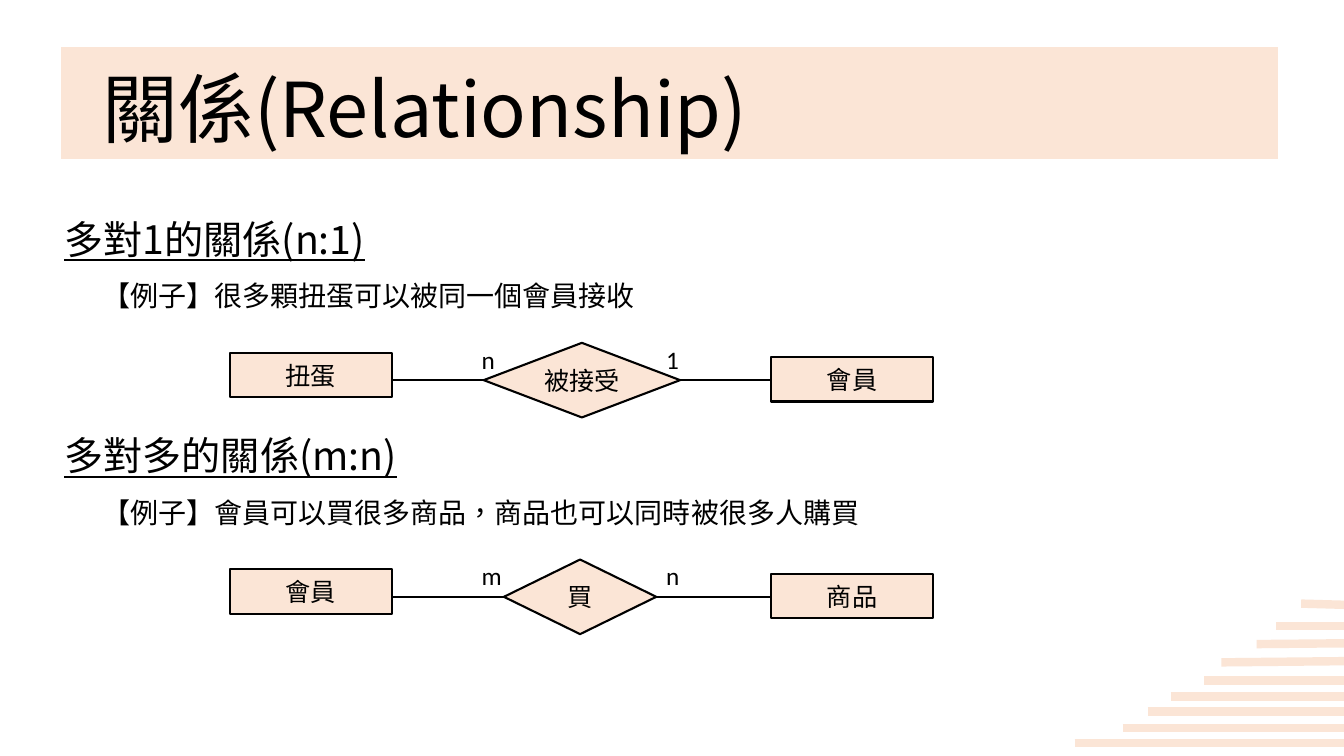
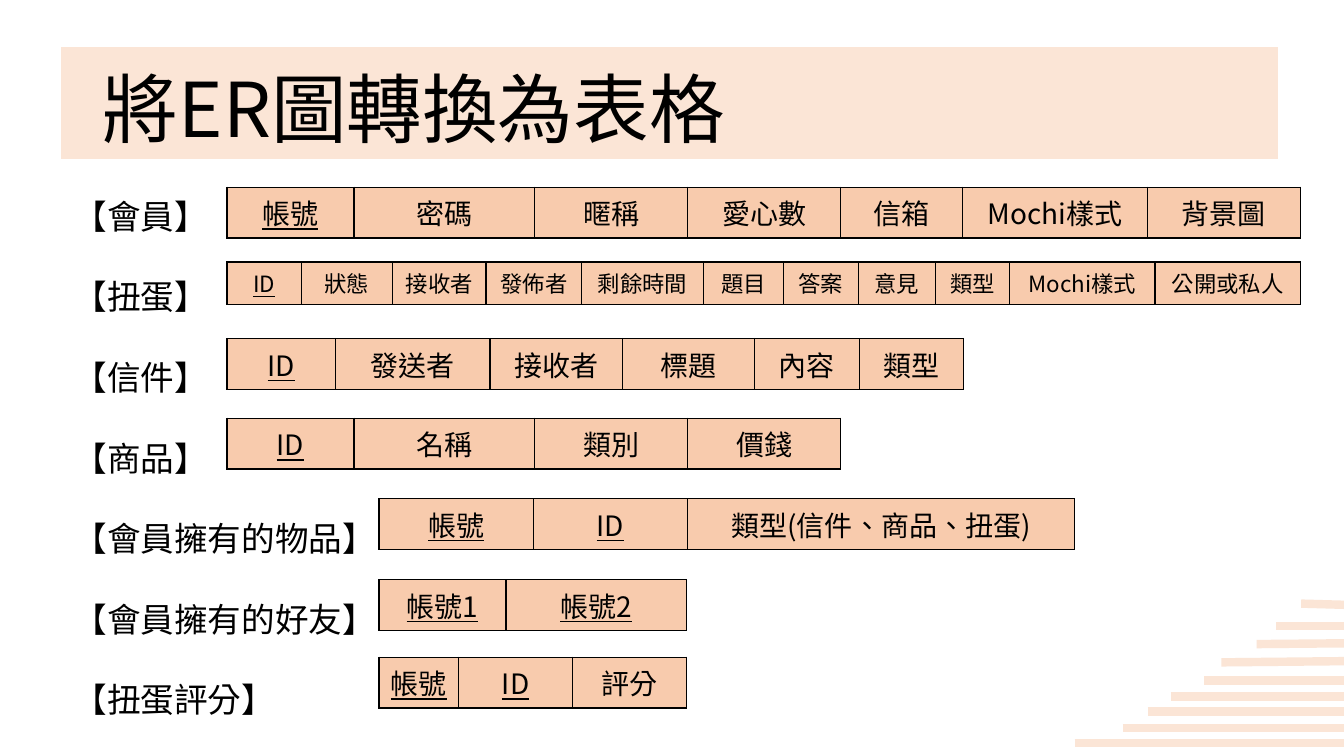
"""Build two slides on relationships and on turning an ER diagram into tables."""
from dataclasses import dataclass

from lxml import etree
from pptx import Presentation
from pptx import util as u
from pptx.dml.color import RGBColor
from pptx.enum import lang, shapes, text
from pptx.oxml import ns

COLORS = {"band": "FBE5D6", "cell": "F8CBAD", "ink": "000000", "paper": "FFFFFF"}
CJK_FONT = "Noto Sans CJK SC"
ROLE_FONT = "Calibri"
SLIDE_WIDTH, SLIDE_HEIGHT = 33.87, 19.05
MARGIN = 1.37
HEADING_WIDTH, HEADING_HEIGHT = 32.49, 3.33
ENTITY_WIDTH, ENTITY_HEIGHT = 4.09, 1.12
DIAMOND_HEIGHT = 1.88


@dataclass
class Stripe:
    left: float
    start_y: float
    end_y: float


@dataclass
class Relation:
    top: float
    heading: str
    example: str
    entities: tuple[str, str]
    roles: tuple[str, str]
    verb: str
    verb_left: float
    verb_width: float


@dataclass
class Relational:
    label: str
    left: float
    top: float
    fields: list[str]
    widths: list[float]
    keys: int = 1
    size: int = 20
    height: float = 1.24


STRIPES = [
    Stripe(27.08, 18.72, 18.72),
    Stripe(28.3, 18.34, 18.34),
    Stripe(28.93, 17.93, 17.93),
    Stripe(29.51, 17.55, 17.55),
    Stripe(30.35, 17.15, 17.15),
    Stripe(30.78, 16.69, 16.66),
    Stripe(31.67, 16.23, 16.21),
    Stripe(32.16, 15.77, 15.77),
    Stripe(32.79, 15.21, 15.24),
]

RELATIONS = [
    Relation(4.7, "多對1的關係(n:1)", "【例子】很多顆扭蛋可以被同一個會員接收",
             ("扭蛋", "會員"), ("n", "1"), "被接受", 12.19, 4.95),
    Relation(10.16, "多對多的關係(m:n)", "【例子】會員可以買很多商品，商品也可以同時被很多人購買",
             ("會員", "商品"), ("m", "n"), "買", 12.7, 3.84),
]

RELATIONALS = [
    Relational("【會員】", 5.72, 4.72,
               ["帳號", "密碼", "暱稱", "愛心數", "信箱", "Mochi樣式", "背景圖"],
               [3.2, 4.55, 3.86, 3.86, 3.07, 4.65, 3.86]),
    Relational("【扭蛋】", 5.72, 6.6,
               ["ID", "狀態", "接收者", "發佈者", "剩餘時間", "題目", "答案", "意見",
                "類型", "Mochi樣式", "公開或私人"],
               [1.88, 2.29, 2.36, 2.41, 3.07, 2.01, 1.9, 1.93, 1.88, 3.66, 3.66],
               size=16, height=1.04),
    Relational("【信件】", 5.72, 8.53,
               ["ID", "發送者", "接收者", "標題", "內容", "類型"],
               [2.74, 3.89, 3.33, 3.33, 2.64, 2.64]),
    Relational("【商品】", 5.72, 10.54,
               ["ID", "名稱", "類別", "價錢"], [3.2, 4.55, 3.86, 3.86]),
    Relational("【會員擁有的物品】", 9.55, 12.57,
               ["帳號", "ID", "類型(信件、商品、扭蛋)"], [3.89, 3.89, 9.75], keys=2),
    Relational("【會員擁有的好友】", 9.55, 14.61,
               ["帳號1", "帳號2"], [3.2, 4.55], keys=2),
    Relational("【扭蛋評分】", 9.55, 16.56,
               ["帳號", "ID", "評分"], [2.01, 2.87, 2.87], keys=2),
]


def color(key: str) -> RGBColor:
    return RGBColor.from_string(COLORS[key])


def place(shape, left: float, top: float, width: float, height: float) -> None:
    shape.left, shape.top = u.Cm(left), u.Cm(top)
    shape.width, shape.height = u.Cm(width), u.Cm(height)


def add_run(paragraph, words: str, size: int, font: str = CJK_FONT,
            underline: bool = False) -> None:
    run = paragraph.add_run()
    run.text = words
    run.font.size = u.Pt(size)
    run.font.color.rgb = color("ink")
    run.font.name = font
    run.font.language_id = lang.MSO_LANGUAGE_ID.TRADITIONAL_CHINESE
    if underline:
        run.font.underline = True
    etree.SubElement(run.font._element, ns.qn("a:ea"), typeface=font)


def add_list(body, lines: list[tuple[str, int, float, float, bool]]) -> None:
    frame = body.text_frame
    frame.auto_size = text.MSO_AUTO_SIZE.NONE
    for index, (words, size, spacing, indent, underline) in enumerate(lines):
        paragraph = frame.add_paragraph() if index else frame.paragraphs[0]
        paragraph.line_spacing = spacing
        paragraph.space_before = u.Pt(0)
        properties = paragraph._p.get_or_add_pPr()
        properties.set("marL", str(u.Cm(indent)))
        properties.set("indent", "0")
        etree.SubElement(properties, ns.qn("a:buNone"))
        add_run(paragraph, words, size, underline=underline)


def add_line(slide, start: tuple[float, float], end: tuple[float, float],
             key: str, weight: float) -> None:
    line = slide.shapes.add_connector(
        shapes.MSO_CONNECTOR.STRAIGHT, *(u.Cm(value) for value in start + end))
    line.line.color.rgb = color(key)
    line.line.width = u.Pt(weight)
    etree.SubElement(line.element.spPr, ns.qn("a:effectLst"))


def add_box(slide, kind, left: float, top: float, width: float, height: float,
            outline: str = "ink", weight: float = 1.5):
    box = slide.shapes.add_shape(
        kind, u.Cm(left), u.Cm(top), u.Cm(width), u.Cm(height))
    box.shadow.inherit = False
    box.fill.solid()
    box.fill.fore_color.rgb = color("band")
    box.line.color.rgb = color(outline)
    box.line.width = u.Pt(weight)
    return box


def add_labelled_box(slide, kind, words: str, left: float, top: float,
                     width: float, height: float) -> None:
    frame = add_box(slide, kind, left, top, width, height).text_frame
    frame.vertical_anchor = text.MSO_ANCHOR.MIDDLE
    frame.paragraphs[0].alignment = text.PP_ALIGN.CENTER
    add_run(frame.paragraphs[0], words, 18)


def add_role(slide, words: str, left: float, top: float) -> None:
    role = slide.shapes.add_textbox(u.Cm(left), u.Cm(top), u.Cm(0.9), u.Cm(1.02))
    role.text_frame.word_wrap = False
    add_run(role.text_frame.paragraphs[0], words, 18, ROLE_FONT)


def start_slide(deck, layout: int, heading: str):
    slide = deck.slides.add_slide(deck.slide_layouts[layout])
    band = add_box(slide, shapes.MSO_SHAPE.RECTANGLE, MARGIN, 1.02, 31.01, 3.15,
                   "paper", 9)
    title = slide.shapes.title
    band.element.addnext(title.element)
    place(title, 2.34, 1.02, 29.21, 3.68)
    frame = title.text_frame
    frame.auto_size = text.MSO_AUTO_SIZE.NONE
    frame.vertical_anchor = text.MSO_ANCHOR.MIDDLE
    frame.paragraphs[0].alignment = text.PP_ALIGN.LEFT
    frame.paragraphs[0].line_spacing = 0.9
    add_run(frame.paragraphs[0], heading, 54)
    for stripe in STRIPES:
        add_line(slide, (stripe.left, stripe.start_y),
                 (SLIDE_WIDTH, stripe.end_y), "band", 6)
    return slide


def draw_relation(slide, body, relation: Relation) -> None:
    top = relation.top
    place(body, MARGIN, top, HEADING_WIDTH, HEADING_HEIGHT)
    add_list(body, [(relation.heading, 28, 1.5, 0, True),
                    (relation.example, 20, 1.5, 0.95, False)])
    for start, end in ((9.91, 13.11), (16.21, 19.41)):
        add_line(slide, (start, top + 4.88), (end, top + 4.88), "ink", 1.5)
    for role, left in zip(relation.roles, (11.89, 16.54)):
        add_role(slide, role, left, top + 3.84)
    for entity, left, drop in zip(relation.entities, (5.79, 19.43), (4.19, 4.3)):
        add_labelled_box(slide, shapes.MSO_SHAPE.RECTANGLE, entity, left,
                         top + drop, ENTITY_WIDTH, ENTITY_HEIGHT)
    add_labelled_box(slide, shapes.MSO_SHAPE.DIAMOND, relation.verb,
                     relation.verb_left, top + 3.94, relation.verb_width,
                     DIAMOND_HEIGHT)


def set_borders(cell) -> None:
    properties = cell._tc.get_or_add_tcPr()
    for index, side in enumerate(("a:lnL", "a:lnR", "a:lnT", "a:lnB")):
        border = etree.Element(ns.qn(side), w=str(u.Pt(1)))
        fill = etree.SubElement(border, ns.qn("a:solidFill"))
        etree.SubElement(fill, ns.qn("a:srgbClr"), val=COLORS["ink"])
        properties.insert(index, border)


def draw_relational(slide, relational: Relational) -> None:
    grid = slide.shapes.add_table(
        1, len(relational.fields), u.Cm(relational.left), u.Cm(relational.top),
        u.Cm(sum(relational.widths)), u.Cm(relational.height)).table
    grid.first_row = grid.horz_banding = False
    for index, (field, width) in enumerate(zip(relational.fields, relational.widths)):
        grid.columns[index].width = u.Cm(width)
        cell = grid.cell(0, index)
        cell.fill.solid()
        cell.fill.fore_color.rgb = color("cell")
        set_borders(cell)
        paragraph = cell.text_frame.paragraphs[0]
        paragraph.alignment = text.PP_ALIGN.CENTER
        add_run(paragraph, field, relational.size, underline=index < relational.keys)


def build_relationships(deck) -> None:
    slide = start_slide(deck, 3, "關係(Relationship)")
    for index, relation in enumerate(RELATIONS, start=1):
        draw_relation(slide, slide.placeholders[index], relation)


def build_tables(deck) -> None:
    slide = start_slide(deck, 1, "將ER圖轉換為表格")
    labels = slide.placeholders[1]
    place(labels, 1.6, 4.8, 8.2, 14.2)
    labels.text_frame.word_wrap = False
    add_list(labels, [(relational.label, 24, 2.0 if index else 1.0, 0, False)
                      for index, relational in enumerate(RELATIONALS)])
    for relational in RELATIONALS:
        draw_relational(slide, relational)


def main() -> None:
    deck = Presentation()
    deck.slide_width, deck.slide_height = u.Cm(SLIDE_WIDTH), u.Cm(SLIDE_HEIGHT)
    build_relationships(deck)
    build_tables(deck)
    deck.save("out.pptx")


if __name__ == "__main__":
    main()
